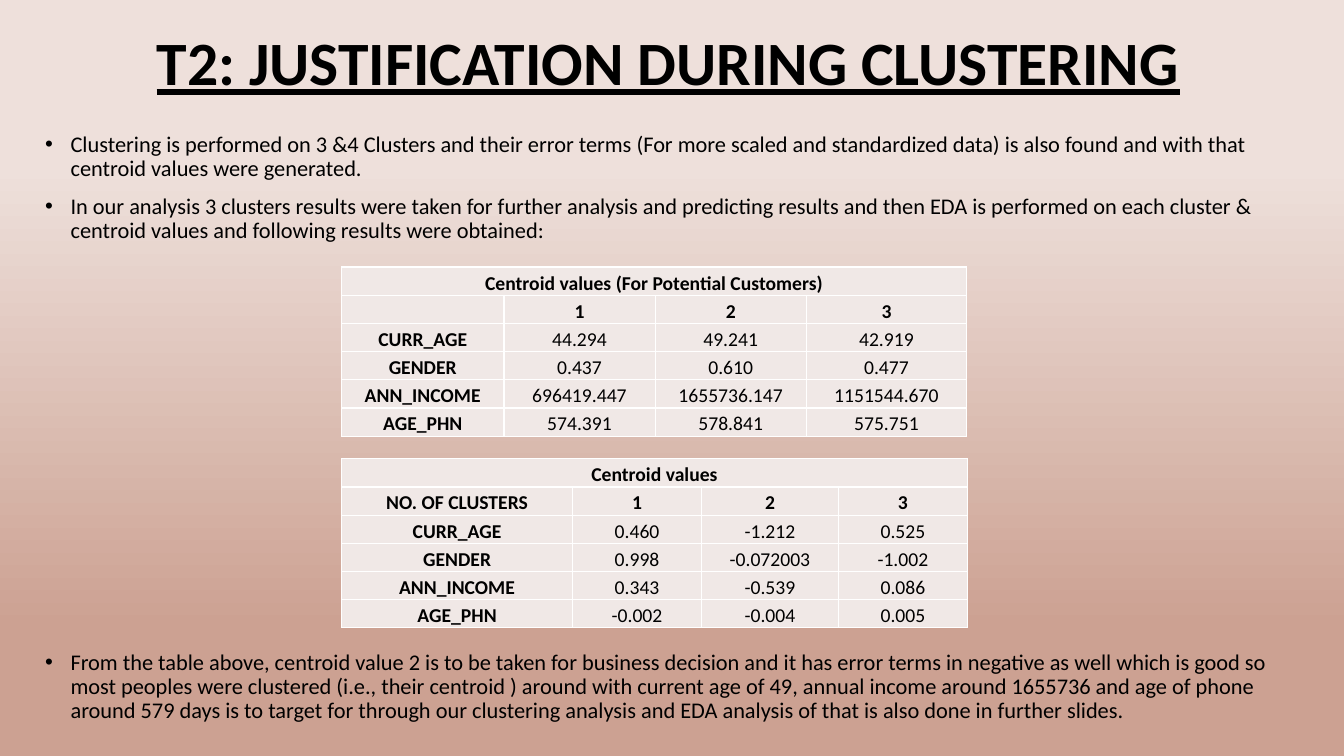
import dataclasses
import typing

import pptx
import pptx.dml.color
import pptx.enum.text
import pptx.oxml
import pptx.oxml.ns
import pptx.util

Cm = pptx.util.Cm
Pt = pptx.util.Pt
Align = pptx.enum.text.PP_ALIGN
Anchor = pptx.enum.text.MSO_ANCHOR

FONT = "Calibri"
ROW = 0.71
LEFT = 8.61
COLORS = {
    "text": "000000",
    "top": "EEE0DB",
    "base": "CCA192",
    "cell": "F0E8E6",
    "line": "FFFFFF",
}


@dataclasses.dataclass
class Grid:
    top: float
    title: str
    widths: list[float]
    rows: list[list[str]]


@dataclasses.dataclass
class Point:
    text: str
    before: float = 10


GRIDS = [
    Grid(6.73, "Centroid values (For Potential Customers)", [4.09, 3.81, 3.81, 4.04], [
        ["", "1", "2", "3"],
        ["CURR_AGE", "44.294", "49.241", "42.919"],
        ["GENDER", "0.437", "0.610", "0.477"],
        ["ANN_INCOME", "696419.447", "1655736.147", "1151544.670"],
        ["AGE_PHN", "574.391", "578.841", "575.751"],
    ]),
    Grid(11.56, "Centroid values", [5.82, 3.25, 3.45, 3.25], [
        ["NO. OF CLUSTERS", "1", "2", "3"],
        ["CURR_AGE", "0.460", "-1.212", "0.525"],
        ["GENDER", "0.998", "-0.072003", "-1.002"],
        ["ANN_INCOME", "0.343", "-0.539", "0.086"],
        ["AGE_PHN", "-0.002", "-0.004", "0.005"],
    ]),
]

# The last point starts below both tables
POINTS = [
    Point("Clustering is performed on 3 &4 Clusters and their error terms (For more scaled and "
          "standardized data) is also found and with that centroid values were generated."),
    Point("In our analysis 3 clusters results were taken for further analysis and predicting "
          "results and then EDA is performed on each cluster & centroid values and following "
          "results were obtained:"),
    Point("From the table above, centroid value 2 is to be taken for business decision and it "
          "has error terms in negative as well which is good so most peoples were clustered "
          "(i.e., their centroid ) around with current age of 49, annual income around 1655736 "
          "and age of phone around 579 days is to target for through our clustering analysis "
          "and EDA analysis of that is also done in further slides.", before=291),
]


def shade(name: str) -> pptx.dml.color.RGBColor:
    return pptx.dml.color.RGBColor.from_string(COLORS[name])


def write(para: typing.Any, text: str, *, size: float, bold: bool = False,
          under: bool = False, align: Align = Align.LEFT,
          space: float = 1.0, before: float = 0) -> None:
    para.alignment = align
    para.line_spacing = space
    para.space_before = Pt(before)
    if not text:
        para._p.get_or_add_endParaRPr().set("sz", str(int(size * 100)))
        return
    run = para.add_run()
    run.text = text
    font = run.font
    font.name, font.size = FONT, Pt(size)
    font.bold, font.underline = bold, under
    font.color.rgb = shade("text")


def add_box(slide: typing.Any, left: float, top: float, width: float, height: float,
            anchor: Anchor) -> typing.Any:
    frame = slide.shapes.add_textbox(Cm(left), Cm(top), Cm(width), Cm(height)).text_frame
    frame.word_wrap = True
    frame.vertical_anchor = anchor
    return frame


def add_dot(para: typing.Any) -> None:
    props = para._p.get_or_add_pPr()
    props.set("marL", str(Cm(0.64)))
    props.set("indent", str(Cm(-0.64)))
    space = pptx.oxml.ns.nsdecls("a")
    for tag in ('buFont typeface="Arial"', 'buChar char="•"'):
        props.append(pptx.oxml.parse_xml(f"<a:{tag} {space}/>"))


def style_cell(cell: typing.Any) -> None:
    cell.vertical_anchor = Anchor.BOTTOM
    cell.margin_left = cell.margin_right = cell.margin_top = Cm(0.03)
    cell.margin_bottom = 0
    props = cell._tc.get_or_add_tcPr()
    for side in "LRTB":
        props.append(pptx.oxml.parse_xml(
            f'<a:ln{side} {pptx.oxml.ns.nsdecls("a")} w="{Pt(1)}"><a:solidFill>'
            f'<a:srgbClr val="{COLORS["line"]}"/></a:solidFill></a:ln{side}>'))
    cell.fill.solid()
    cell.fill.fore_color.rgb = shade("cell")


def add_grid(slide: typing.Any, grid: Grid) -> None:
    rows = [[grid.title, "", "", ""], *grid.rows]
    table = slide.shapes.add_table(
        len(rows), len(grid.widths), Cm(LEFT), Cm(grid.top),
        Cm(sum(grid.widths)), Cm(ROW * len(rows))).table
    for col, width in zip(table.columns, grid.widths):
        col.width = Cm(width)
    for r, row in enumerate(rows):
        table.rows[r].height = Cm(ROW)
        for c, text in enumerate(row):
            cell = table.cell(r, c)
            style_cell(cell)
            write(cell.text_frame.paragraphs[0], text, size=14,
                  bold=r < 2 or c == 0, align=Align.CENTER)
    table.cell(0, 0).merge(table.cell(0, len(grid.widths) - 1))


def main() -> None:
    deck = pptx.Presentation()
    deck.slide_width, deck.slide_height = Cm(33.87), Cm(19.05)
    slide = deck.slides.add_slide(deck.slide_layouts[6])

    # Background
    fill = slide.background.fill
    fill.gradient()
    fill.gradient_angle = 270
    for stop, name, place in zip(fill.gradient_stops, ("top", "base"), (0.22, 0.83)):
        stop.color.rgb = shade(name)
        stop.position = place

    # Title
    title = add_box(slide, 2.24, 0.56, 29.21, 2.21, Anchor.MIDDLE)
    write(title.paragraphs[0], "T2: JUSTIFICATION DURING CLUSTERING", size=44,
          bold=True, under=True, align=Align.CENTER, space=0.9)

    # Bullet points
    body = add_box(slide, 0.89, 3.23, 31.9, 15.27, Anchor.TOP)
    for i, point in enumerate(POINTS):
        para = body.add_paragraph() if i else body.paragraphs[0]
        write(para, point.text, size=16, space=0.9, before=point.before)
        add_dot(para)

    # Tables
    for grid in GRIDS:
        add_grid(slide, grid)

    deck.save("out.pptx")


if __name__ == "__main__":
    main()
